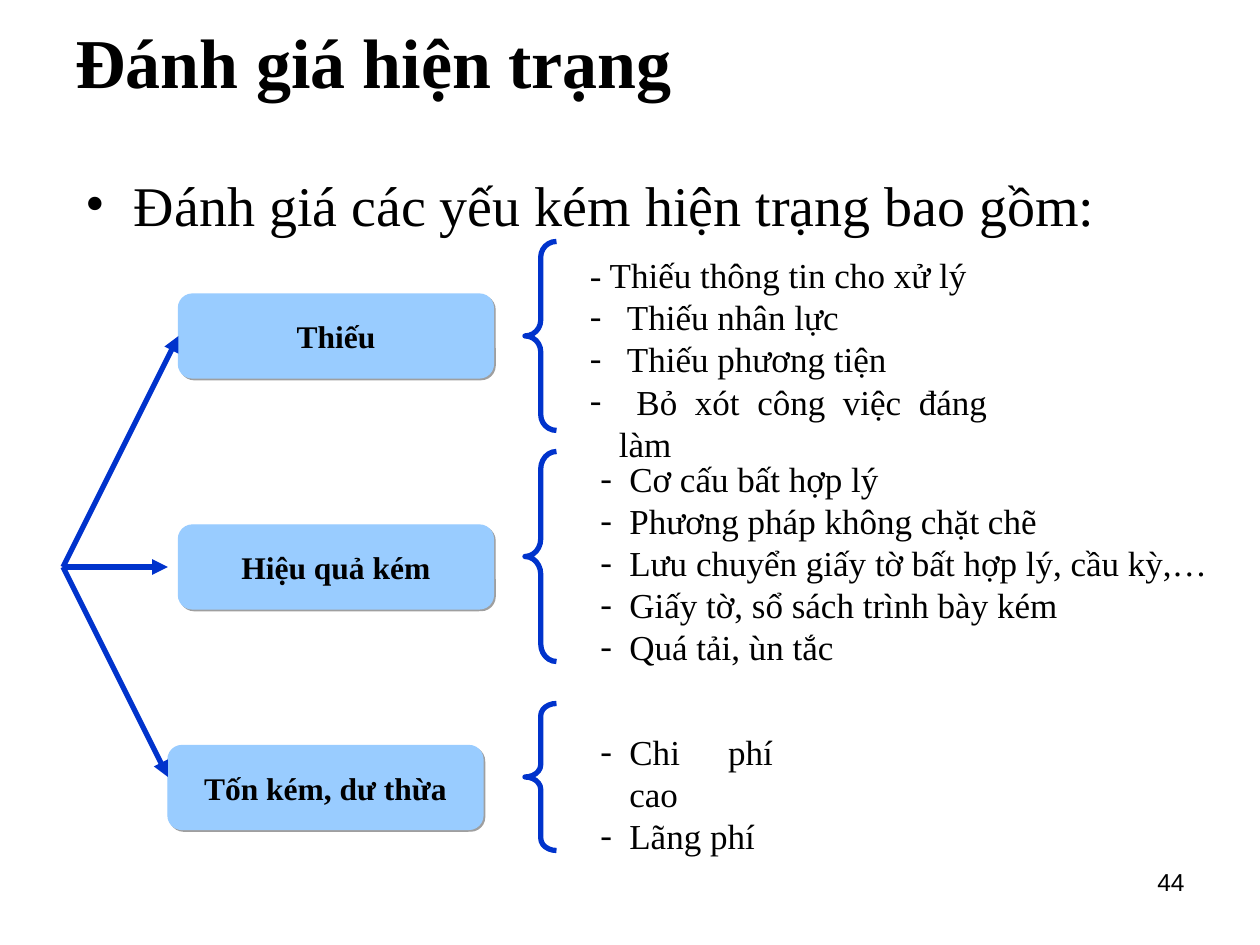
from lxml.etree import SubElement
from pptx import Presentation
from pptx.dml.color import RGBColor
from pptx.enum.shapes import MSO_CONNECTOR as CONNECTOR, MSO_SHAPE as SHAPE
from pptx.enum.text import MSO_ANCHOR as ANCHOR, PP_ALIGN as ALIGN
from pptx.oxml.ns import qn
from pptx.util import Inches, Pt

COLORS = {"text": "000000", "box": "99CCFF", "line": "0033CC", "shadow": "808080"}
COLUMNS, ROWS = 120, 90

presentation = Presentation()
presentation.slide_width, presentation.slide_height = Inches(10), Inches(7.5)
slide = presentation.slides.add_slide(presentation.slide_layouts[6])
column = presentation.slide_width / COLUMNS
row = presentation.slide_height / ROWS


def place(left, top, width, height):
    """Turn grid columns and rows into lengths."""
    return [round(n * unit) for n, unit in zip((left, top, width, height), (column, row) * 2)]


def write(shape, lines, size, align, bullet=None, indent=0, plain=0, bold=False,
          font="Times New Roman", anchor=ANCHOR.TOP, top=0.05, bottom=0.05):
    """Fill a shape with paragraphs; the first `plain` ones get no bullet."""
    frame_format = {
        "word_wrap": True, "vertical_anchor": anchor,
        "margin_left": Inches(0.1), "margin_right": Inches(0.1),
        "margin_top": Inches(top), "margin_bottom": Inches(bottom),
    }
    for name, value in frame_format.items():
        setattr(shape.text_frame, name, value)
    for index, line in enumerate(lines):
        frame = shape.text_frame
        paragraph = frame.paragraphs[0] if index == 0 else frame.add_paragraph()
        paragraph.alignment = align
        if bullet and index >= plain:
            properties = paragraph._p.get_or_add_pPr()
            properties.set("marL", str(Inches(indent)))
            properties.set("indent", str(-Inches(indent)))
            SubElement(properties, qn("a:buFont"), typeface=font)
            SubElement(properties, qn("a:buChar"), char=bullet)
        run = paragraph.add_run()
        run.text = line
        for name, value in {"name": font, "size": Pt(size), "bold": bold}.items():
            setattr(run.font, name, value)
        run.font.color.rgb = RGBColor.from_string(COLORS["text"])


# Page number, title and lead sentence
headings = [
    ((86, 82, 28, 6.2), "44", {"size": 14, "align": ALIGN.RIGHT, "font": "Arial"}),
    ((6, 3.6, 108, 3.2), "Đánh giá hiện trạng",
     {"size": 40, "align": ALIGN.JUSTIFY, "bold": True, "anchor": ANCHOR.MIDDLE,
      "top": 0.1, "bottom": 0}),
    ((7, 15, 111, 8), "Đánh giá các yếu kém hiện trạng bao gồm:",
     {"size": 32, "align": ALIGN.JUSTIFY, "bullet": "•", "indent": 0.38, "top": 0.1}),
]
for area, text, text_format in headings:
    write(slide.shapes.add_textbox(*place(*area)), [text], **text_format)

# Category boxes
for left, top, text in [(17, 28, "Thiếu"), (17, 50, "Hiệu quả kém"),
                        (16, 71, "Tốn kém, dư thừa")]:
    box = slide.shapes.add_shape(SHAPE.FLOWCHART_ALTERNATE_PROCESS, *place(left, top, 30, 8))
    box.fill.solid()
    box.fill.fore_color.rgb = RGBColor.from_string(COLORS["box"])
    box.line.color.rgb = RGBColor.from_string(COLORS["box"])
    box.line.width = Pt(0.75)
    box.shadow.inherit = False
    effects = box._element.spPr.find(qn("a:effectLst"))
    shadow = SubElement(effects, qn("a:outerShdw"), blurRad="0", dist=str(Pt(1.4)),
                        dir=str(45 * 60000), algn="ctr", rotWithShape="0")
    shade = SubElement(shadow, qn("a:srgbClr"), val=COLORS["shadow"])
    SubElement(shade, qn("a:alpha"), val="75000")
    write(box, [text], size=18, align=ALIGN.CENTER, bold=True, anchor=ANCHOR.MIDDLE)

# Braces with their lists: brace top and height, list area, unbulleted lines, lines
groups = [
    (23, 18, (55, 23.6, 40.2, 17.3), 1,
     ["- Thiếu thông tin cho xử lý", " Thiếu nhân lực", " Thiếu phương tiện",
      " Bỏ xót công việc đáng làm"]),
    (43, 20, (56, 43, 64, 21.2), 0,
     ["Cơ cấu bất hợp lý", "Phương pháp không chặt chẽ",
      "Lưu chuyển giấy tờ bất hợp lý, cầu kỳ,…", "Giấy tờ, sổ sách trình bày kém",
      "Quá tải, ùn tắc"]),
    (67, 14, (56, 69, 18.8, 9.2), 0, ["Chi phí cao", "Lãng phí"]),
]
BRACE_WIDTH = 3
for top, height, area, plain, lines in groups:
    brace = slide.shapes.add_shape(SHAPE.LEFT_BRACE, *place(50, top, BRACE_WIDTH, height))
    brace.adjustments[0] = height / 12 / BRACE_WIDTH
    brace.fill.background()
    brace.line.color.rgb = RGBColor.from_string(COLORS["line"])
    brace.line.width = Pt(3)
    brace.shadow.inherit = False
    write(slide.shapes.add_textbox(*place(*area)), lines, size=20, align=ALIGN.JUSTIFY,
          bullet="-", indent=0.23, plain=plain)

# Arrows fanning out to the boxes
for end in [(16, 74), (16, 54), (17, 32)]:
    arrow = slide.shapes.add_connector(CONNECTOR.STRAIGHT, *place(6, 54, *end))
    arrow.line.color.rgb = RGBColor.from_string(COLORS["line"])
    arrow.line.width = Pt(3)
    SubElement(arrow.line._get_or_add_ln(), qn("a:tailEnd"), type="triangle")
    SubElement(arrow._element.spPr, qn("a:effectLst"))

presentation.save("out.pptx")
